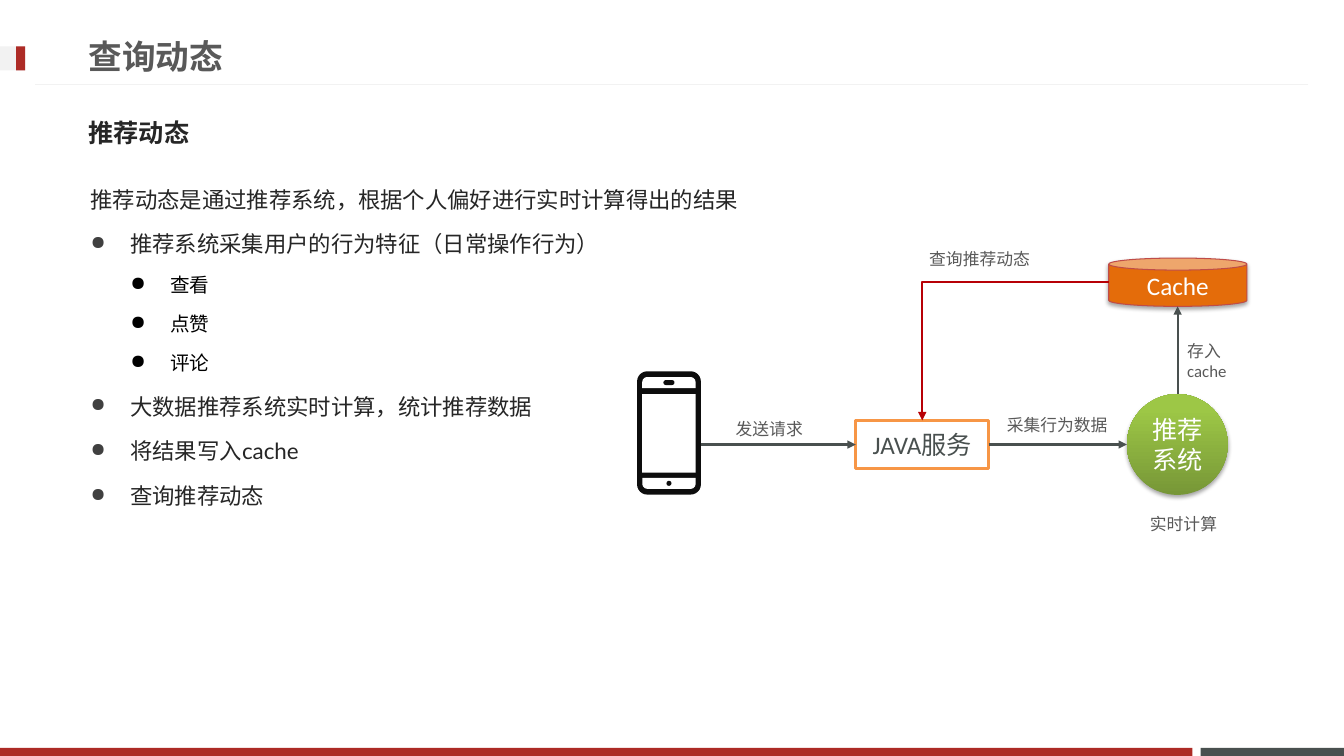
from lxml.etree import SubElement
from pptx import Presentation
from pptx.dml.color import RGBColor
from pptx.enum.shapes import MSO_CONNECTOR, MSO_SHAPE
from pptx.enum.text import MSO_ANCHOR, PP_ALIGN
from pptx.oxml.ns import qn
from pptx.util import Inches, Pt

CELL = Inches(1) // 6  # the slide is a grid of 80 columns by 45 rows
RED, SLATE, PALE, INK, WHITE = "AD2B26", "49504F", "F2F2F2", "0D0D0D", "FFFFFF"


def paint(target, color):
    """Give a fill or a line a solid colour."""
    target.fill.solid() if hasattr(target, "width") else target.solid()
    fore = target.fill.fore_color if hasattr(target, "width") else target.fore_color
    fore.rgb = RGBColor.from_string(color)


def write(paragraph, text, size=12, font="Calibri", color="595959", bold=False,
          align=PP_ALIGN.LEFT):
    paragraph.alignment = align
    run = paragraph.add_run()
    run.text = text
    run.font.size, run.font.name, run.font.bold = Pt(size), font, bold
    paint(run.font.fill, color)
    SubElement(run.font._element, qn("a:ea"), typeface=font)


presentation = Presentation()
presentation.slide_width, presentation.slide_height = 80 * CELL, 45 * CELL
slide = presentation.slides.add_slide(presentation.slide_layouts[6])

# Filled shapes: kind, box in grid cells, fill
parts = {
    "footer end": (MSO_SHAPE.RECTANGLE, (71.46, 44.52, 8.54, 0.48), SLATE),
    "footer": (MSO_SHAPE.RECTANGLE, (0, 44.52, 70.98, 0.48), RED),
    "tag": (MSO_SHAPE.RECTANGLE, (0, 2.76, 1.5, 1.44), PALE),
    "tag edge": (MSO_SHAPE.RECTANGLE, (0.96, 2.76, 0.54, 1.44), RED),
    "phone": (MSO_SHAPE.ROUNDED_RECTANGLE, (37.92, 22.1, 3.8, 7.34), INK),
    "phone top": (MSO_SHAPE.ROUND_2_SAME_RECTANGLE, (38.23, 22.44, 3.18, 0.66), WHITE),
    "phone screen": (MSO_SHAPE.RECTANGLE, (38.23, 23.46, 3.18, 4.68), WHITE),
    "phone base": (MSO_SHAPE.ROUND_2_SAME_RECTANGLE, (38.23, 28.44, 3.18, 0.66), WHITE),
    "speaker": (MSO_SHAPE.ROUNDED_RECTANGLE, (39.49, 22.62, 0.66, 0.3), INK),
    "button": (MSO_SHAPE.OVAL, (39.67, 28.62, 0.3, 0.3), INK),
    "recommender": (MSO_SHAPE.OVAL, (67.08, 23.46, 6, 6), "9BC348"),
    "service": (MSO_SHAPE.RECTANGLE, (50.94, 25.02, 7.92, 2.88), WHITE),
    "store": (MSO_SHAPE.CAN, (66, 15.36, 8.22, 2.88), "E46C0A"),
}
drawn = {}
for part, (kind, box, color) in parts.items():
    shape = slide.shapes.add_shape(kind, *[round(v * CELL) for v in box])
    paint(shape.fill, color)
    shape.line.fill.background()
    shape.shadow.inherit = False
    drawn[part] = shape

drawn["phone"].adjustments[0] = 0.16
drawn["phone top"].adjustments[0] = drawn["phone base"].adjustments[0] = 0.45
drawn["phone base"].rotation = 180
drawn["speaker"].adjustments[0] = 0.5

glow = drawn["recommender"].fill
glow.gradient()
glow.gradient_angle = 90
for stop, color, position in zip(glow.gradient_stops, ("779737", "9DC746"), (0, 0.85)):
    stop.color.rgb = RGBColor.from_string(color)
    stop.position = position

for part, color, width in (("service", "F79646", 2), ("store", "BF4C48", 0.75)):
    paint(drawn[part].line, color)
    drawn[part].line.width = Pt(width)

for part in ("recommender", "store"):
    effects = drawn[part]._element.spPr.find(qn("a:effectLst"))
    shadow = SubElement(effects, qn("a:outerShdw"), blurRad=str(Pt(3.1)),
                        dist=str(Pt(1.8)), dir="5400000", rotWithShape="0")
    black = SubElement(shadow, qn("a:srgbClr"), val="000000")
    SubElement(black, qn("a:alpha"), val="35000")

for part, text, color in (("recommender", "推荐系统", WHITE),
                          ("service", "JAVA服务", SLATE), ("store", "Cache", WHITE)):
    frame = drawn[part].text_frame
    frame.word_wrap = True
    frame.vertical_anchor = MSO_ANCHOR.MIDDLE
    frame.margin_left = frame.margin_right = Inches(0.05)
    write(frame.paragraphs[0], text, size=18, color=color, align=PP_ALIGN.CENTER)

# Lines: kind, ends in grid cells, colour, width, arrowhead, joined start, joined end
straight, elbow = MSO_CONNECTOR.STRAIGHT, MSO_CONNECTOR.ELBOW
for kind, ends, color, width, arrow, start, end in (
    (straight, (77.88, 5.04, 2.1, 5.04), PALE, 0.75, False, None, None),
    (straight, (41.72, 26.46, 50.94, 26.46), SLATE, 1.5, True, None, 1),
    (straight, (58.86, 26.46, 67.08, 26.46), SLATE, 1.5, True, 3, None),
    (straight, (70.1, 23.46, 70.1, 18.24), SLATE, 1.5, True, None, None),
    (elbow, (66, 16.8, 54.9, 25.02), "B70006", 1.5, True, None, 0),
):
    link = slide.shapes.add_connector(kind, *[round(v * CELL) for v in ends])
    paint(link.line, color)
    link.line.width = Pt(width)
    if kind == elbow:
        link._element.spPr.find(qn("a:prstGeom")).set("prst", "bentConnector2")
    if arrow:
        SubElement(link.line._get_or_add_ln(), qn("a:tailEnd"), type="triangle")
    SubElement(link._element.spPr, qn("a:effectLst"))
    if start is not None:
        link.begin_connect(drawn["service"], start)
    if end is not None:
        link.end_connect(drawn["service"], end)

# Headings and labels: text, box in grid cells, anchor, format
heading = dict(size=24, font="Lato", bold=True)
subheading = dict(size=18, font="Noto Sans CJK JP", color="262626", bold=True)
for text, box, anchor, style in (
    ("查询动态", (4.68, 1.62, 57.54, 3.42), MSO_ANCHOR.MIDDLE, heading),
    ("推荐动态", (4.68, 6.18, 70.56, 3.42), MSO_ANCHOR.MIDDLE, subheading),
    ("发送请求", (43.2, 24.66, 5.28, 1.8), MSO_ANCHOR.TOP, {}),
    ("采集行为数据", (59.34, 24.42, 7.5, 1.8), MSO_ANCHOR.TOP, {}),
    ("实时计算", (67.86, 30.3, 5.28, 1.8), MSO_ANCHOR.TOP, {}),
    ("存入cache", (70.08, 19.98, 4.5, 3), MSO_ANCHOR.TOP, {}),
    ("查询推荐动态", (54.72, 14.52, 7.5, 1.8), MSO_ANCHOR.TOP, {}),
):
    frame = slide.shapes.add_textbox(*[round(v * CELL) for v in box]).text_frame
    frame.word_wrap = True
    frame.vertical_anchor = anchor
    write(frame.paragraphs[0], text, **style)

# Explanation: indent level (0 is plain text) and wording
explanation = [
    (0, "推荐动态是通过推荐系统，根据个人偏好进行实时计算得出的结果"),
    (1, "推荐系统采集用户的行为特征（日常操作行为）"),
    (2, "查看"),
    (2, "点赞"),
    (2, "评论"),
    (1, "大数据推荐系统实时计算，统计推荐数据"),
    (1, "将结果写入cache"),
    (1, "查询推荐动态"),
]
box = (4.8, 9.96, 46.92, 23.58)
frame = slide.shapes.add_textbox(*[round(v * CELL) for v in box]).text_frame
frame.word_wrap = True
for number, (level, text) in enumerate(explanation):
    paragraph = frame.add_paragraph() if number else frame.paragraphs[0]
    size, color = (14, "000000") if level == 2 else (16, "262626")
    write(paragraph, text, size=size, font="Lato", color=color)
    paragraph.line_spacing = 1.5
    paragraph.space_before = Pt(size * 0.2)
    if level:
        paragraph.level = level - 1
        properties = paragraph._p.get_or_add_pPr()
        properties.set("marL", str(Inches(0.395 * level)))
        properties.set("indent", str(-Inches(0.395)))
        if level == 1:
            bullet_color = SubElement(properties, qn("a:buClr"))
            SubElement(bullet_color, qn("a:srgbClr"), val="404040")
            SubElement(properties, qn("a:buSzPct"), val="85000")
        SubElement(properties, qn("a:buChar"), char="●")

presentation.save("out.pptx")
